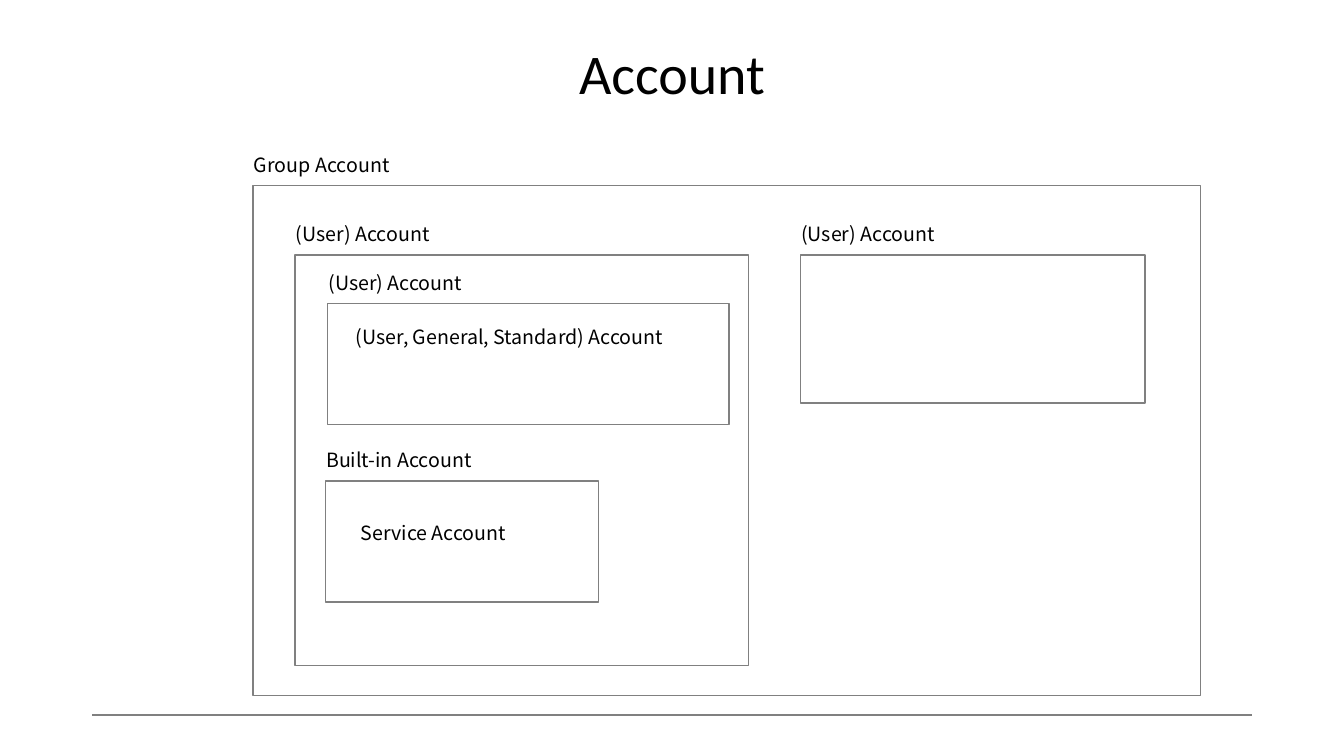
from dataclasses import dataclass

from pptx import Presentation
from pptx.dml.color import RGBColor
from pptx.enum.shapes import MSO_CONNECTOR as Connector, MSO_SHAPE as Shape
from pptx.enum.text import MSO_ANCHOR as Anchor, MSO_AUTO_SIZE as AutoSize, PP_ALIGN as Align
from pptx.oxml.ns import qn
from pptx.util import Cm, Pt
from lxml.etree import SubElement


@dataclass(frozen=True)
class Theme:
    ink: RGBColor = RGBColor(0x00, 0x00, 0x00)
    outline: RGBColor = RGBColor(0x80, 0x80, 0x80)
    outline_width: int = Pt(1)
    title_font: str = "Calibri"
    title_size: int = Pt(40)
    label_font: str = "Noto Sans CJK JP"
    label_size: int = Pt(14)


THEME = Theme()
LABEL_WIDTH, LABEL_HEIGHT = 5.9, 0.86
LABEL_OFFSET = (-0.23, -0.95)


@dataclass(frozen=True)
class Note:
    """Text inside a frame; lengths in cm from the frame's corner."""
    text: str
    left: float
    top: float
    width: float = LABEL_WIDTH


@dataclass(frozen=True)
class Account:
    """Labelled frame; lengths in cm from the corner of its parent."""
    label: str
    left: float
    top: float
    width: float
    height: float
    members: tuple = ()
    notes: tuple = ()


GROUP = Account("Group Account", 6.38, 4.67, 23.88, 12.85, members=(
    Account("(User) Account", 1.06, 1.76, 11.43, 10.34, members=(
        Account("(User) Account", 0.82, 1.22, 10.11, 3.05,
                notes=(Note("(User, General, Standard) Account", 0.46, 0.41, 9.17),)),
        Account("Built-in Account", 0.76, 5.69, 6.88, 3.05,
                notes=(Note("Service Account", 0.64, 0.89),)),
    )),
    Account("(User) Account", 13.79, 1.76, 8.69, 3.73),
))


def style_line(line):
    for name, value in {"width": THEME.outline_width}.items():
        setattr(line, name, value)
    line.color.rgb = THEME.outline


def add_text(slide, text, box, font_format, frame_format, paragraph_format):
    frame = slide.shapes.add_textbox(*map(Cm, box)).text_frame
    paragraph = frame.paragraphs[0]
    run = paragraph.add_run()
    run.text = text
    run.font.color.rgb = THEME.ink
    for target, formats in ((frame, frame_format), (paragraph, paragraph_format),
                            (run.font, font_format)):
        for name, value in formats.items():
            setattr(target, name, value)


def add_title(slide, text, box):
    add_text(slide, text, box,
             {"name": THEME.title_font, "size": THEME.title_size},
             {"word_wrap": True, "vertical_anchor": Anchor.MIDDLE},
             {"alignment": Align.CENTER, "line_spacing": 0.9})


def add_label(slide, text, left, top, width=LABEL_WIDTH):
    add_text(slide, text, (left, top, width, LABEL_HEIGHT),
             {"name": THEME.label_font, "size": THEME.label_size},
             {"word_wrap": True, "auto_size": AutoSize.SHAPE_TO_FIT_TEXT},
             {"alignment": Align.LEFT})


def add_account(slide, account, origin=(0, 0)):
    """Draw the account's frame and label, then everything nested in it."""
    left, top = origin[0] + account.left, origin[1] + account.top
    frame = slide.shapes.add_shape(
        Shape.RECTANGLE, *map(Cm, (left, top, account.width, account.height)))
    frame.shadow.inherit = False
    frame.fill.background()
    style_line(frame.line)
    add_label(slide, account.label, left + LABEL_OFFSET[0], top + LABEL_OFFSET[1])
    for member in account.members:
        add_account(slide, member, (left, top))
    for note in account.notes:
        add_label(slide, note.text, left + note.left, top + note.top, note.width)


def add_footer_rule(slide, left, top, width):
    rule = slide.shapes.add_connector(
        Connector.STRAIGHT, *map(Cm, (left, top, left + width, top)))
    style_line(rule.line)
    SubElement(rule.element.spPr, qn("a:effectLst"))


def main():
    presentation = Presentation()
    presentation.slide_width, presentation.slide_height = Cm(33.87), Cm(19.05)
    slide = presentation.slides.add_slide(presentation.slide_layouts[6])
    margin, content_width = 2.33, 29.21
    add_footer_rule(slide, margin, 18.02, content_width)
    add_title(slide, "Account", (margin, 1.02, content_width, 1.83))
    add_account(slide, GROUP)
    presentation.save("out.pptx")


if __name__ == "__main__":
    main()
